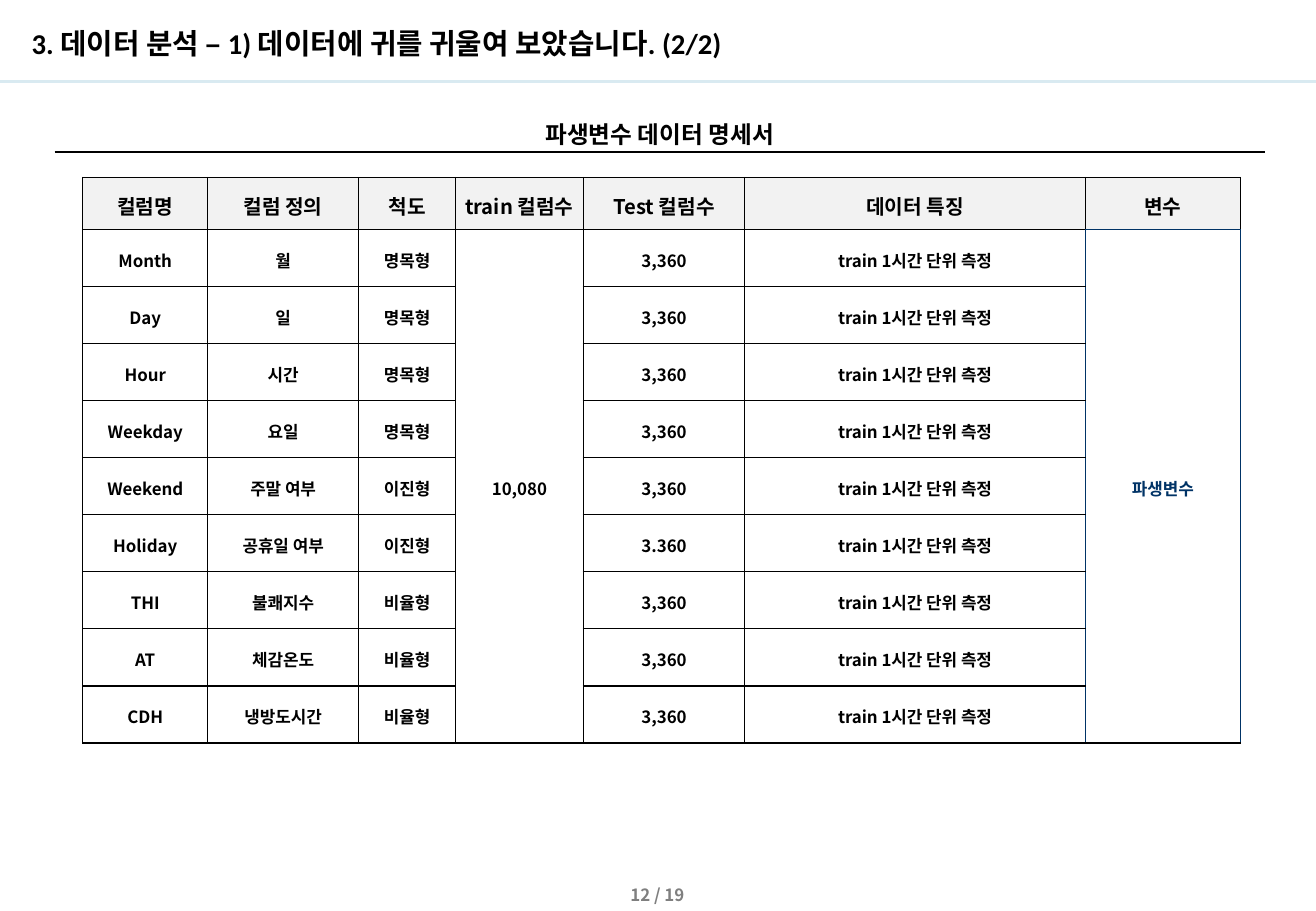
from lxml import etree
from pptx import Presentation
from pptx import util as u
from pptx.dml.color import RGBColor
from pptx.enum import shapes, text
from pptx.oxml.ns import qn

KOREAN_FONT = "Noto Sans CJK KR"
BLACK, NAVY, GRAY = "000000", "003366", "7F7F7F"
HEADER_FILL, RULE_BLUE = "F2F2F2", "D9EAF1"

HEADERS = ["컬럼명", "컬럼 정의", "척도", "train 컬럼수", "Test 컬럼수", "데이터 특징", "변수"]
COLUMN_WIDTHS = [1.03, 1.24, 0.8, 1.05, 1.33, 2.8, 1.28]
HEADER_HEIGHT, ROW_HEIGHT = 0.43, 0.47
FEATURE = "train 1시간 단위 측정"
VARIABLES = [
    ("Month", "월", "명목형", "3,360"),
    ("Day", "일", "명목형", "3,360"),
    ("Hour", "시간", "명목형", "3,360"),
    ("Weekday", "요일", "명목형", "3,360"),
    ("Weekend", "주말 여부", "이진형", "3,360"),
    ("Holiday", "공휴일 여부", "이진형", "3.360"),
    ("THI", "불쾌지수", "비율형", "3,360"),
    ("AT", "체감온도", "비율형", "3,360"),
    ("CDH", "냉방도시간", "비율형", "3,360"),
]
TRAIN_COLUMN, VARIABLE_COLUMN = 3, 6


def rgb(color):
    return RGBColor.from_string(color)


def write(frame, content, size, color=BLACK, font=KOREAN_FONT,
          align=text.PP_ALIGN.CENTER, spacing=1.2):
    frame.text = content
    paragraph = frame.paragraphs[0]
    paragraph.alignment = align
    paragraph.line_spacing = spacing
    for run in paragraph.runs:
        run.font.name = font
        run.font.size = u.Pt(size)
        run.font.bold = True
        run.font.color.rgb = rgb(color)
        east_asian = etree.SubElement(run.font._element, qn("a:ea"))
        east_asian.set("typeface", KOREAN_FONT)


def add_title(slide, content):
    title = slide.shapes.title
    title.left, title.top = u.Inches(0.16), u.Inches(0.18)
    title.width, title.height = u.Inches(9.9), u.Inches(0.39)
    frame = title.text_frame
    frame.auto_size = text.MSO_AUTO_SIZE.NONE
    frame.vertical_anchor = text.MSO_ANCHOR.MIDDLE
    write(frame, content, 17, font="Calibri", align=text.PP_ALIGN.LEFT, spacing=0.9)


def add_label(slide, left, top, width, height, content, size, color=BLACK):
    box = slide.shapes.add_textbox(*map(u.Inches, (left, top, width, height)))
    box.text_frame.word_wrap = True
    write(box.text_frame, content, size, color)


def add_rule(slide, left, right, y, color, weight):
    rule = slide.shapes.add_connector(
        shapes.MSO_CONNECTOR.STRAIGHT, *map(u.Inches, (left, y, right, y)))
    rule.line.color.rgb = rgb(color)
    rule.line.width = u.Pt(weight)
    etree.SubElement(rule._element.spPr, qn("a:effectLst"))


def set_borders(cell, **colors):
    properties = cell._tc.get_or_add_tcPr()
    for side in "LRTB":
        if side not in colors:
            continue
        line = etree.SubElement(properties, qn("a:ln" + side), w=str(u.Pt(0.75)))
        fill = etree.SubElement(line, qn("a:solidFill"))
        etree.SubElement(fill, qn("a:srgbClr"), val=colors[side])


def border_colors(row, column):
    last_row = len(VARIABLES)
    colors = dict.fromkeys("LRTB", BLACK)
    if column == VARIABLE_COLUMN:
        if row == 0:
            colors["B"] = NAVY
        else:
            colors.update(L=NAVY, R=NAVY, T=NAVY)
    elif column == VARIABLE_COLUMN - 1 and row > 0:
        colors["R"] = NAVY
    # Inside a merged column only the outer edges are drawn
    if column in (TRAIN_COLUMN, VARIABLE_COLUMN) and row > 1:
        del colors["T"]
        if row < last_row:
            del colors["B"]
    return colors


def add_variable_table(slide):
    rows = [HEADERS]
    for index, (name, meaning, scale, test_count) in enumerate(VARIABLES):
        train_count, kind = ("10,080", "파생변수") if index == 0 else ("", "")
        rows.append([name, meaning, scale, train_count, test_count, FEATURE, kind])

    height = HEADER_HEIGHT + ROW_HEIGHT * len(VARIABLES)
    table = slide.shapes.add_table(
        len(rows), len(HEADERS), u.Inches(0.68), u.Inches(1.46),
        u.Inches(sum(COLUMN_WIDTHS)), u.Inches(height)).table
    table.first_row = table.horz_banding = False
    for column, width in zip(table.columns, COLUMN_WIDTHS):
        column.width = u.Inches(width)
    for index, row in enumerate(table.rows):
        row.height = u.Inches(ROW_HEIGHT if index else HEADER_HEIGHT)

    for row, values in enumerate(rows):
        for column, value in enumerate(values):
            cell = table.cell(row, column)
            cell.margin_left = cell.margin_right = 0
            cell.margin_top = cell.margin_bottom = 0
            cell.vertical_anchor = text.MSO_ANCHOR.MIDDLE
            set_borders(cell, **border_colors(row, column))
            if row == 0:
                cell.fill.solid()
                cell.fill.fore_color.rgb = rgb(HEADER_FILL)
            else:
                cell.fill.background()
            if value:
                color = NAVY if row and column == VARIABLE_COLUMN else BLACK
                write(cell.text_frame, value, 10 if row else 12, color, spacing=1.14)

    for column in (TRAIN_COLUMN, VARIABLE_COLUMN):
        table.cell(1, column).merge(table.cell(len(VARIABLES), column))


def main():
    presentation = Presentation()
    presentation.slide_width = u.Inches(10.83)
    presentation.slide_height = u.Inches(7.5)
    slide = presentation.slides.add_slide(presentation.slide_layouts[5])

    # Heading and page number
    add_rule(slide, 0, 10.83, 0.67, RULE_BLUE, 2)
    add_label(slide, 4.61, 7.2, 1.6, 0.25, "12 / 19", 10, GRAY)
    add_title(slide, "3. 데이터 분석 – 1) 데이터에 귀를 귀울여 보았습니다. (2/2)")

    # Derived variable specification
    add_label(slide, 0.45, 0.89, 9.96, 0.34, "파생변수 데이터 명세서", 14)
    add_rule(slide, 0.45, 10.41, 1.25, BLACK, 1)
    add_variable_table(slide)

    presentation.save("out.pptx")


if __name__ == "__main__":
    main()
